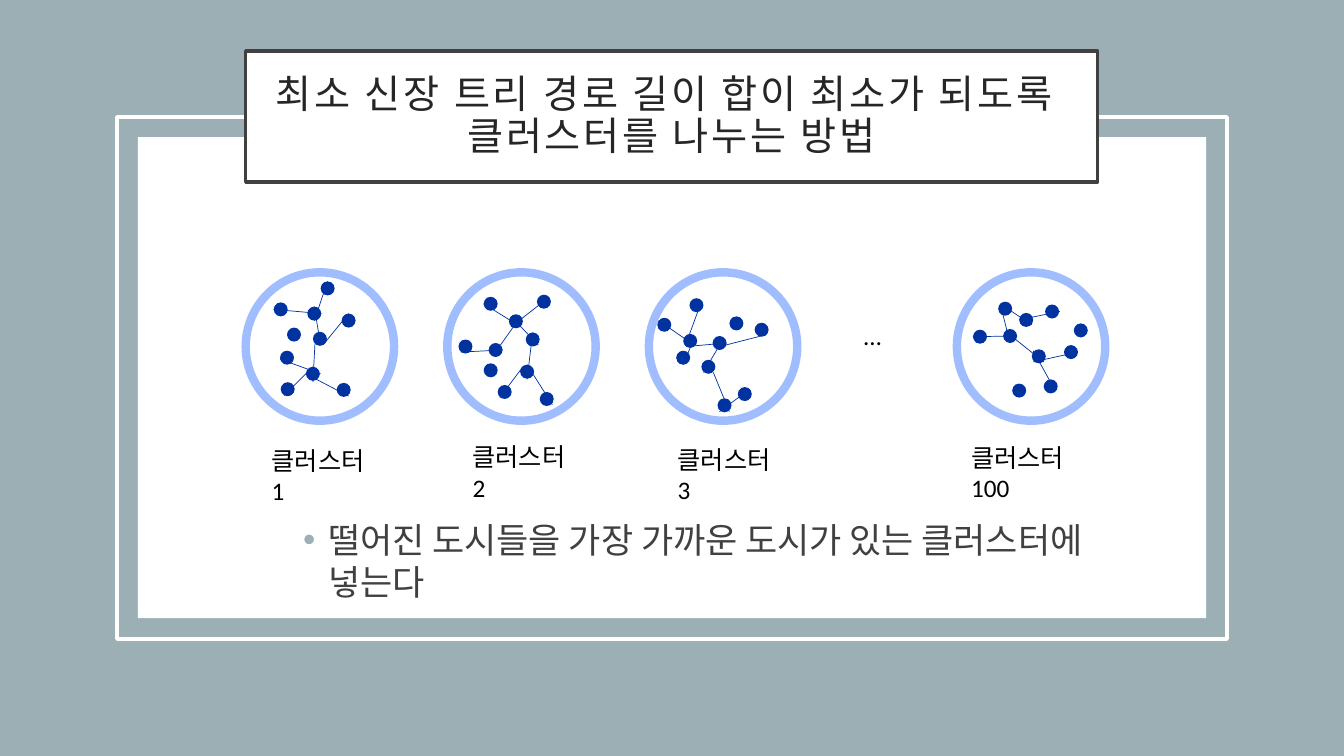
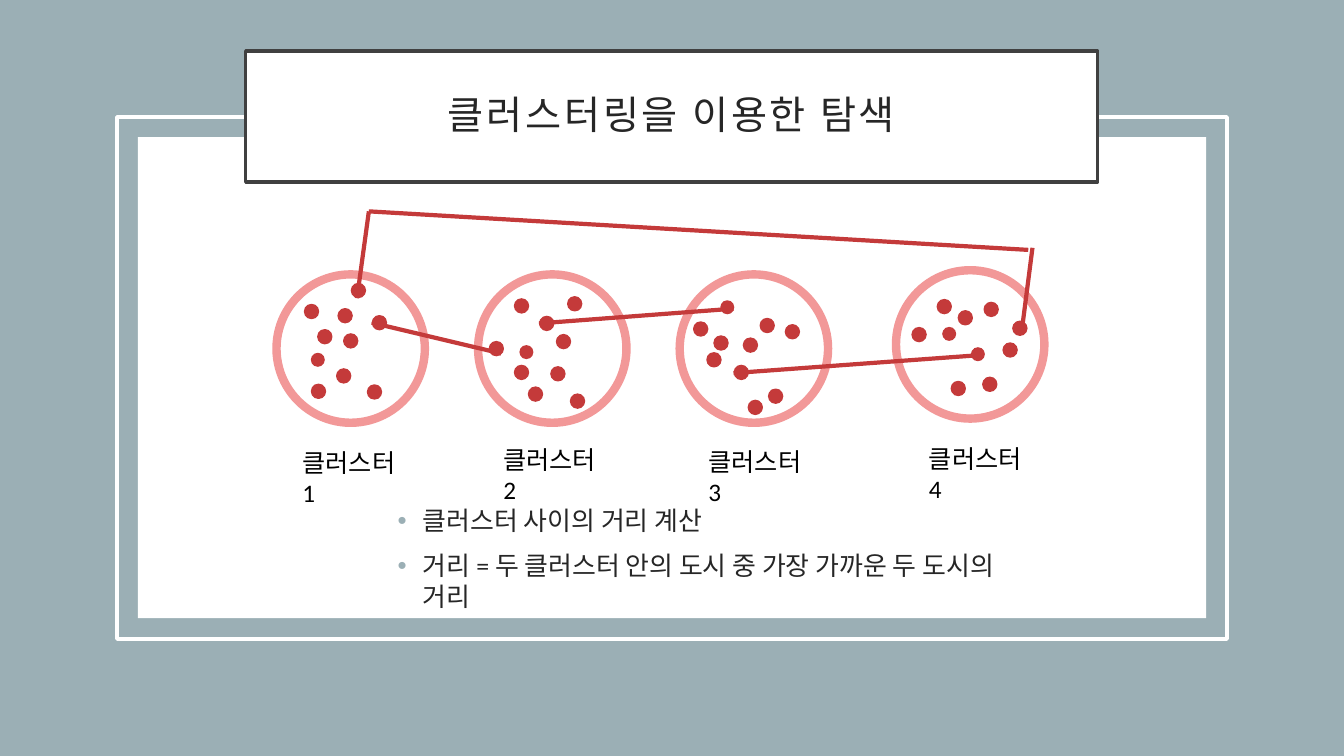
from lxml.etree import SubElement as Sub
from pptx import Presentation
from pptx.dml.color import RGBColor as RGB
from pptx.enum.shapes import MSO_CONNECTOR as Link, MSO_SHAPE as Kind
from pptx.enum.text import MSO_ANCHOR as Anchor, MSO_AUTO_SIZE as Auto, PP_ALIGN as Align
from pptx.oxml.ns import qn
from pptx.util import Pt

# Shared look
FONT = "Calibri"
SAGE = RGB(0x9B, 0xAF, 0xB5)
WHITE = RGB(0xFF, 0xFF, 0xFF)
BLACK = RGB(0x00, 0x00, 0x00)
GRAY = RGB(0x40, 0x40, 0x40)
INK = RGB(0x26, 0x26, 0x26)
BLUE = RGB(0x00, 0x32, 0xA0)
SKY = RGB(0x9F, 0xBD, 0xFF)
RED = RGB(0xC4, 0x3A, 0x3A)
PINK = RGB(0xF2, 0x98, 0x98)
RING, DOT = 106, 10

# City dots of each cluster, measured from the corner of its ring
CITIES = [
    [(20, 21.5), (48, 42.5), (24.5, 56), (53.5, 6.5), (44, 24.5),
     (43, 67.5), (25, 78.5), (68.5, 29.5), (65, 79), (29.5, 39.5)],
    [(29.5, 50.5), (44, 30), (8, 48), (64, 16), (26, 17.5),
     (52, 66), (36, 80.5), (56, 43), (66, 85.5), (26, 65)],
    [(6, 32.5), (45.5, 45.5), (24.5, 44), (29, 18.5), (37.5, 62.5),
     (19.5, 56), (75.5, 36), (49, 90), (63.5, 82), (57.5, 31.5)],
    [(11.5, 41), (33, 40.5), (44.5, 29), (29.5, 21), (62, 76.5),
     (39.5, 79.5), (63, 23), (53.5, 55), (76.5, 52), (83.5, 36.5)],
]

# Tree edges of each cluster, from the same corner: x1, y1, x2, y2
EDGES = [
    [(20, 26.5, 54, 29.5), (58.5, 6.5, 49, 34.5), (49, 24.5, 53.5, 52),
     (73.5, 29.5, 56, 51), (49.5, 51, 48, 78.5), (24.5, 62, 53.5, 72.5),
     (48, 67.5, 27.5, 88), (43, 72.5, 73.5, 88.5)],
    [(26, 22.5, 52.5, 39), (38, 52, 52.5, 31.5), (45.5, 39, 72.5, 18),
     (45.5, 31.5, 65, 52), (9.5, 57, 39.5, 55.5), (61, 43, 57, 76.5),
     (57, 66, 75, 94.5), (54, 67.5, 37.5, 89.5)],
    [(7, 34.5, 33, 52.5), (24.5, 66, 33, 45.5), (26, 52.5, 37.5, 21),
     (33, 52.5, 55.5, 50.5), (53.5, 47, 39, 71.5), (84, 44.5, 47, 54),
     (46, 71.5, 57.5, 99.5), (50.5, 99.5, 72, 83.5)],
    [(11.5, 46, 43, 45.5), (31, 22.5, 38, 50.5), (31, 22.5, 53.5, 37.5),
     (44.5, 34, 73.5, 28), (34.5, 42, 62, 64), (54.5, 64, 86.5, 57),
     (54.5, 56, 70.5, 85)],
]

# Label places from the ring corner: x, y, width
SPOTS = [(11.5, 120, 83), (11, 117.5, 83), (13.5, 119, 83)]

# Second slide: cities that sit elsewhere, and those with no outline
MOVED = {(2, 0): (10, 34), (2, 4): (39, 65)}
BARE = {(0, 2), (1, 0), (2, 3), (3, 1), (3, 7)}
ROUTES = [
    (265.5, 230.5, 358, 252.5), (385, 231, 524, 220.5),
    (524, 266.5, 702.5, 253.5), (255, 213, 263.5, 151),
    (729.5, 239, 737.5, 177), (734.5, 178.5, 263.5, 151),
]


def paint(shape, fill=None, line=None, width=1):
    if fill is None:
        shape.fill.background()
    else:
        shape.fill.solid()
        shape.fill.fore_color.rgb = fill
    if line is None:
        shape.line.fill.background()
    else:
        shape.line.color.rgb = line
        shape.line.width = Pt(width)


def add_form(slide, kind, box, **look):
    shape = slide.shapes.add_shape(kind, *map(Pt, box))
    shape.shadow.inherit = False
    paint(shape, **look)


def add_line(slide, ends, color, width):
    line = slide.shapes.add_connector(Link.STRAIGHT, *map(Pt, ends))
    line.line.color.rgb = color
    line.line.width = Pt(width)
    Sub(line.element.spPr, qn("a:effectLst"))


def add_run(para, text, size, color):
    run = para.add_run()
    run.text = text
    run.font.name = FONT
    run.font.size = Pt(size)
    run.font.color.rgb = color
    return run


def add_box(slide, box):
    frame = slide.shapes.add_textbox(*map(Pt, box)).text_frame
    frame.word_wrap = True
    return frame


def add_label(slide, text, box):
    add_run(add_box(slide, box).paragraphs[0], text, 18, BLACK)


def add_list(slide, items, box, size, color):
    frame = add_box(slide, box)
    for num, text in enumerate(items):
        para = frame.add_paragraph() if num else frame.paragraphs[0]
        para.space_before = Pt(10 if num else 0)
        add_run(para, text, size, color)
        # Hanging bullet
        props = para._p.get_or_add_pPr()
        props.set("marL", str(Pt(18)))
        props.set("indent", str(-Pt(18)))
        tint = Sub(props, qn("a:buClr"))
        Sub(tint, qn("a:srgbClr")).set("val", str(SAGE))
        Sub(props, qn("a:buFont")).set("typeface", "Arial")
        Sub(props, qn("a:buChar")).set("char", "•")


def set_title(slide, lines):
    title = slide.shapes.title
    title.left, title.top, title.width, title.height = map(Pt, (175.5, 36.5, 608.5, 93.5))
    paint(title, WHITE, GRAY, 2.5)
    frame = title.text_frame
    frame.auto_size = Auto.NONE
    frame.word_wrap = True
    frame.vertical_anchor = Anchor.MIDDLE
    frame.margin_left = frame.margin_right = Pt(14.4)
    frame.margin_top = frame.margin_bottom = Pt(14.4)
    para = frame.paragraphs[0]
    para.alignment = Align.CENTER
    para.line_spacing = 0.9
    for num, text in enumerate(lines):
        if num:
            para.add_line_break()
        run = add_run(para, text, 28, INK)
        run.font._element.set("spc", "200")
    # Bring the title in front of the panels
    title.element.getparent().append(title.element)


def add_page(deck, lines):
    slide = deck.slides.add_slide(deck.slide_layouts[5])
    add_form(slide, Kind.RECTANGLE, (0, 0, 960, 540), fill=SAGE)
    add_form(slide, Kind.RECTANGLE, (98.5, 98, 763, 343.5), fill=WHITE)
    add_form(slide, Kind.RECTANGLE, (83.5, 83.5, 793, 373), line=WHITE, width=2.5)
    set_title(slide, lines)
    return slide


def add_ring(slide, left, top, dots, color, rim, edge, bare):
    add_form(slide, Kind.OVAL, (left, top, RING, RING), line=rim, width=6)
    for num, (x, y) in enumerate(dots):
        line = None if num in bare else edge
        add_form(slide, Kind.OVAL, (left + x, top + y, DOT, DOT), fill=color, line=line)


def add_rings(slide, places, names, spots, color, rim, edge=None, moved={}, bare=()):
    for num, (left, top) in enumerate(places):
        dots = [moved.get((num, i), dot) for i, dot in enumerate(CITIES[num])]
        plain = {i for ring, i in bare if ring == num}
        add_ring(slide, left, top, dots, color, rim, edge, plain)
        x, y, wide = spots[num]
        add_label(slide, f"클러스터 {names[num]}", (left + x, top + y, wide, 29))


def main():
    deck = Presentation()
    deck.slide_width, deck.slide_height = Pt(960), Pt(540)

    # Spanning trees
    slide = add_page(deck, ["최소 신장 트리 경로 길이 합이 최소가 되도록 ", "클러스터를 나누는 방법"])
    places = [(175.5 + 144 * i, 194.5) for i in range(3)] + [(683.5, 194.5)]
    add_rings(slide, places, (1, 2, 3, 100), SPOTS + [(3, 118, 101)], BLUE, SKY)
    for (left, top), edges in zip(places, EDGES):
        for x1, y1, x2, y2 in edges:
            add_line(slide, (left + x1, top + y1, left + x2, top + y2), BLUE, 0.5)
    add_label(slide, "…", (610, 225.5, 32.5, 29))
    add_list(slide, ["떨어진 도시들을 가장 가까운 도시가 있는 클러스터에 넣는다"],
             (209.5, 367, 581, 57), 25, GRAY)

    # Search between clusters
    slide = add_page(deck, ["클러스터링을 이용한 탐색"])
    add_list(slide, ["클러스터 사이의 거리 계산",
                     "거리 = 두 클러스터 안의 도시 중 가장 가까운 두 도시의 거리"],
             (277, 357, 450, 74), 18.5, INK)
    places = [(197.5 + 144 * i, 196) for i in range(3)] + [(640, 193)]
    add_rings(slide, places, (1, 2, 3, 4), SPOTS + [(16.5, 120, 83)],
              RED, PINK, RED, MOVED, BARE)
    for ends in ROUTES:
        add_line(slide, ends, RED, 3)

    deck.save("out.pptx")


main()
